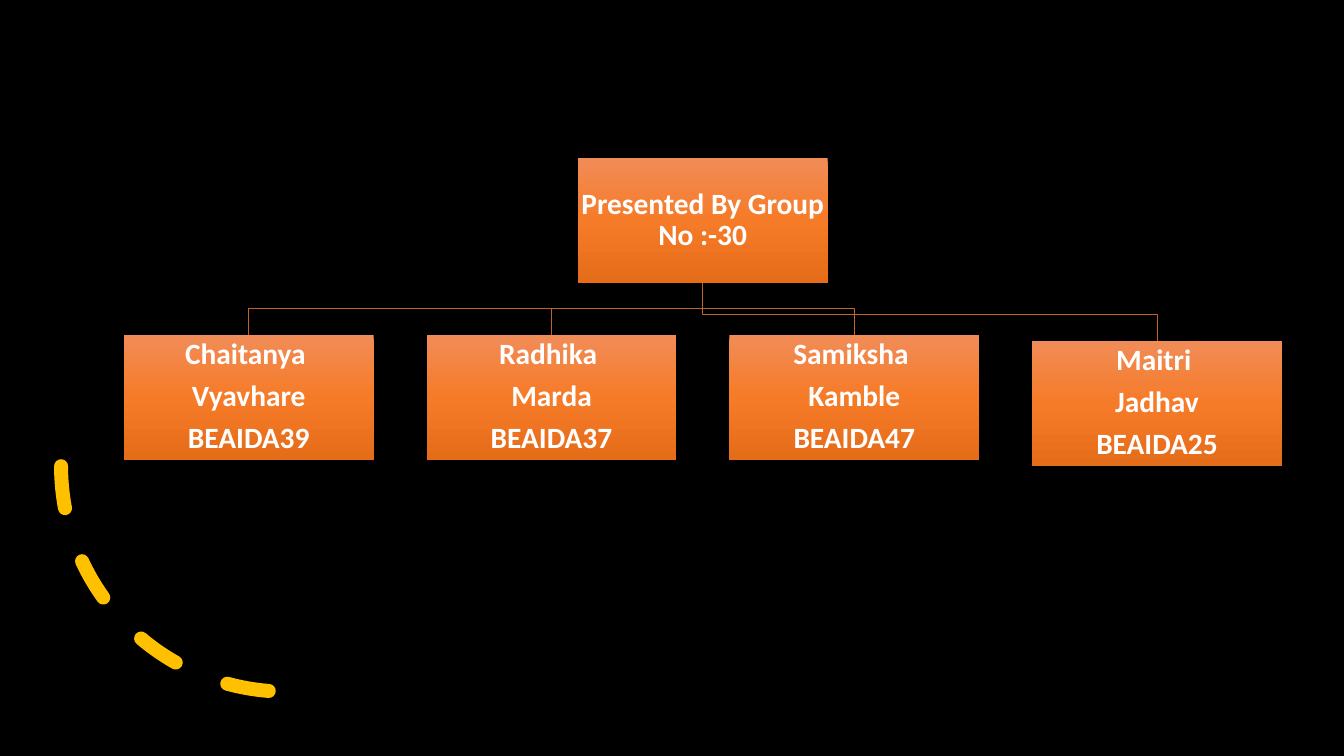
"""Build the team slide: a group box with four members below it."""
from copy import deepcopy

from pptx import Presentation
from pptx.dml.color import RGBColor
from pptx.enum.dml import MSO_LINE
from pptx.enum.shapes import MSO_SHAPE
from pptx.enum.text import MSO_ANCHOR, PP_ALIGN
from pptx.oxml.ns import qn
from pptx.util import Cm, Pt

RECTANGLE, ARC = MSO_SHAPE.RECTANGLE, MSO_SHAPE.ARC
DASH = MSO_LINE.DASH
MIDDLE, CENTER = MSO_ANCHOR.MIDDLE, PP_ALIGN.CENTER

SLIDE_W, SLIDE_H = 33.87, 19.05
BOX_W, BOX_H = 6.3, 3.15
GROUP_LEFT, GROUP_TOP = 14.56, 3.98
MEMBER_LEFT, MEMBER_STEP = 3.12, 7.63
BEND_HEIGHT = 0.66
MEMBERS = [
    (8.44, ["Chaitanya ", "Vyavhare", "BEAIDA39"]),
    (8.44, ["Radhika ", "Marda", "BEAIDA37"]),
    (8.44, ["Samiksha ", "Kamble", "BEAIDA47"]),
    (8.59, ["Maitri ", "Jadhav", "BEAIDA25"]),
]


def rgb(value):
    """Turn a hex string into a colour."""
    return RGBColor.from_string(value)


class TeamSlide:
    """Hold the style and the current slide."""

    font, size, text_color = "Calibri", 21, "FFFFFF"
    backdrop_color, arc_color, branch_color = "000000", "FFC000", "BE6427"
    gradient = [(0, "F18C57"), (0.5, "F67B28"), (1, "E56C19")]

    def __init__(self, slide):
        """Keep the slide that receives the shapes."""
        self.shapes = slide.shapes

    def shape(self, kind, left, top, width, height):
        """Add a preset shape without shadow."""
        shape = self.shapes.add_shape(kind, Cm(left), Cm(top), Cm(width), Cm(height))
        shape.shadow.inherit = False
        return shape

    def backdrop(self):
        """Cover the slide with a plain colour."""
        backdrop = self.shape(RECTANGLE, 0, 0, SLIDE_W, SLIDE_H)
        backdrop.fill.solid()
        backdrop.fill.fore_color.rgb = rgb(self.backdrop_color)
        backdrop.line.fill.background()

    def dashed_arc(self, left, top, diameter):
        """Add a round-capped dashed arc in the lower left quarter."""
        arc = self.shape(ARC, left, top, diameter, diameter)
        arc.rotation = 90
        arc.fill.background()
        arc.line.color.rgb = rgb(self.arc_color)
        arc.line.width = Pt(10)
        arc.line.dash_style = DASH
        arc.line._get_or_add_ln().set("cap", "rnd")
        arc._element.spPr.find(qn("a:xfrm")).set("flipV", "1")

    def branch(self, start_x, start_y, end_x, end_y):
        """Add a bent line from the group box to a member box."""
        bend_y = end_y - BEND_HEIGHT
        builder = self.shapes.build_freeform(Cm(start_x), Cm(start_y))
        points = [(start_x, bend_y), (end_x, bend_y), (end_x, end_y)]
        builder.add_line_segments([(Cm(x), Cm(y)) for x, y in points], close=False)
        branch = builder.convert_to_shape()
        branch.shadow.inherit = False
        branch.fill.background()
        branch.line.color.rgb = rgb(self.branch_color)
        branch.line.width = Pt(0.5)

    def box(self, left, top, lines):
        """Add a gradient box with one paragraph per line."""
        box = self.shape(RECTANGLE, left, top, BOX_W, BOX_H)
        box.line.fill.background()
        box.fill.gradient()
        box.fill.gradient_angle = 270
        stop_list = box._element.spPr.find(".//" + qn("a:gsLst"))
        stop_list.append(deepcopy(stop_list[0]))
        for stop, (position, color) in zip(box.fill.gradient_stops, self.gradient):
            stop.position = position
            stop.color.rgb = rgb(color)

        frame = box.text_frame
        frame.word_wrap = True
        frame.vertical_anchor = MIDDLE
        frame.margin_left = frame.margin_right = Cm(0.03)
        frame.margin_top = frame.margin_bottom = Cm(0.03)
        for index, line in enumerate(lines):
            paragraph = frame.add_paragraph() if index else frame.paragraphs[0]
            paragraph.alignment = CENTER
            paragraph.line_spacing = 0.9
            paragraph.space_after = Pt(self.size * 0.35)
            run = paragraph.add_run()
            run.text = line
            run.font.name = self.font
            run.font.size = Pt(self.size)
            run.font.bold = True
            run.font.color.rgb = rgb(self.text_color)


def main():
    """Build and save the slide."""
    deck = Presentation()
    deck.slide_width, deck.slide_height = Cm(SLIDE_W), Cm(SLIDE_H)
    team = TeamSlide(deck.slides.add_slide(deck.slide_layouts[6]))
    team.backdrop()
    team.dashed_arc(1.54, 6.07, 11.36)

    members = [(MEMBER_LEFT + i * MEMBER_STEP, top, lines)
               for i, (top, lines) in enumerate(MEMBERS)]
    for left, top, _ in reversed(members):
        team.branch(GROUP_LEFT + BOX_W / 2, GROUP_TOP + BOX_H, left + BOX_W / 2, top)
    team.box(GROUP_LEFT, GROUP_TOP, ["Presented By Group No :-30"])
    for left, top, lines in members:
        team.box(left, top, lines)
    deck.save("out.pptx")


if __name__ == "__main__":
    main()
